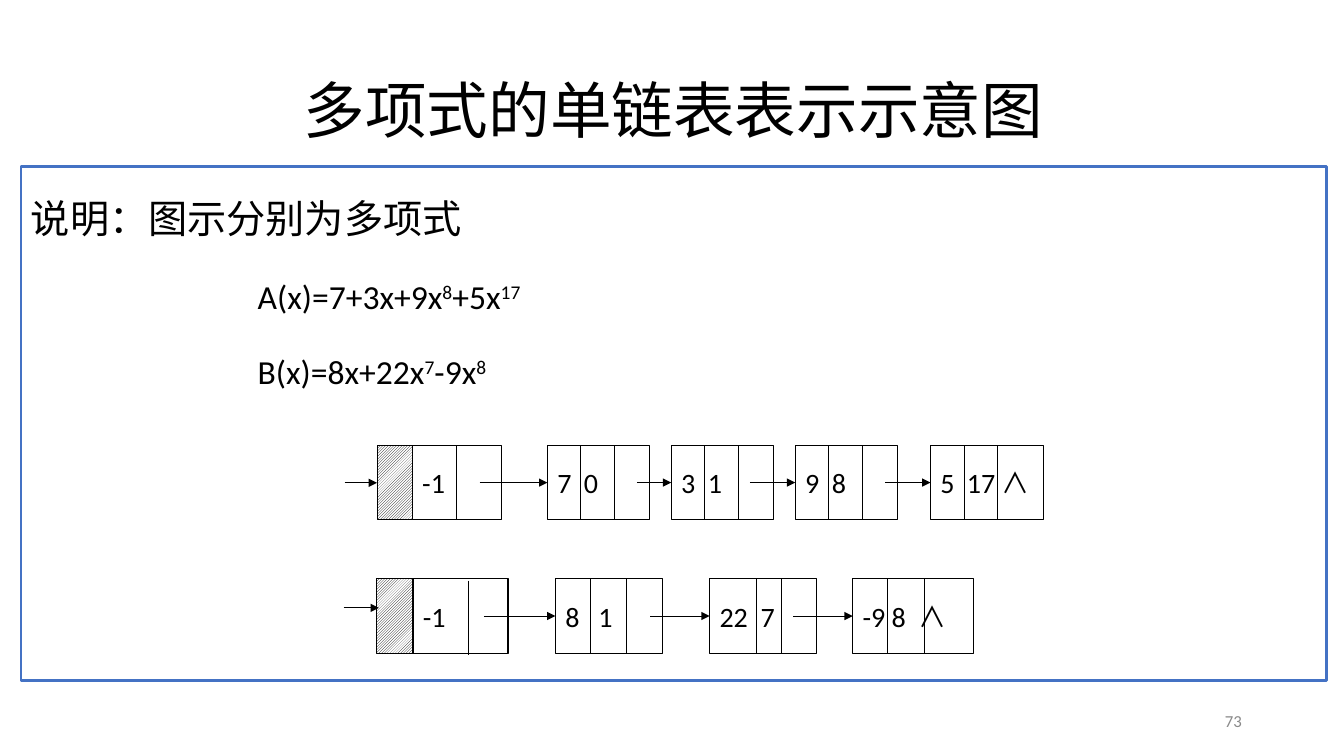
from dataclasses import dataclass
from typing import Any, Optional

from lxml.etree import SubElement
from pptx import Presentation
from pptx.dml.color import RGBColor
from pptx.enum.dml import MSO_PATTERN
from pptx.enum.shapes import MSO_CONNECTOR, MSO_SHAPE
from pptx.enum.text import MSO_ANCHOR, PP_ALIGN
from pptx.oxml.ns import qn
from pptx.util import Pt


@dataclass(frozen=True)
class Theme:
    latin: str = "Calibri"
    chinese: str = "Noto Sans CJK SC"
    ink: RGBColor = RGBColor(0x00, 0x00, 0x00)
    paper: RGBColor = RGBColor(0xFF, 0xFF, 0xFF)
    frame: RGBColor = RGBColor(0x44, 0x72, 0xC4)
    muted: RGBColor = RGBColor(0x89, 0x89, 0x89)
    title_size: float = 44
    lead_size: float = 28
    formula_size: float = 24
    node_size: float = 20
    number_size: float = 12
    thin: float = 0.75
    thick: float = 1.75


@dataclass(frozen=True)
class Node:
    left: float
    width: float
    dividers: tuple[float, ...]  # offsets from the left edge
    text: str
    tab: float = 0
    link_start: Optional[float] = None  # where the arrow to the next node begins


@dataclass(frozen=True)
class LinkedList:
    top: float
    height: float
    hatch_left: float
    hatch_width: float
    entry: tuple[float, float, float]  # start, end, height of the first arrow
    head_drop: float  # downward shift of the head node's divider
    nodes: tuple[Node, ...]


THEME = Theme()
CARET = "∧"
TITLE = "多项式的单链表表示示意图"
LEAD = "说明：图示分别为多项式"
# Every second part is an exponent
FORMULAS = (
    ("A(x)=7+3x+9x", "8", "+5x", "17"),
    ("B(x)=8x+22x", "7", "-9x", "8"),
)
THIRDS_A = (24, 48.2)
LISTS = (
    LinkedList(318.2, 53, 270, 24.5, (246.2, 269.3, 344.9), 0, (
        Node(294.5, 64.1, (31.7,), "-1", 0, 342.7),
        Node(391, 72.7, THIRDS_A, "7\t0", 19, 455),
        Node(479.5, 72.7, THIRDS_A, "3\t1", 19, 535.7),
        Node(568.1, 72.7, THIRDS_A, "9\t8", 19, 632.2),
        Node(664.6, 80.6, THIRDS_A, f"5\t17 {CARET}", 19),
    )),
    LinkedList(413.3, 53.5, 269.3, 25.5, (245.5, 270.7, 434.2), 1.4, (
        Node(295, 67.9, (39.8,), "-1", 0, 345.6),
        Node(396.7, 76.3, (25.2, 51.1), "8\t1", 23.6, 464.4),
        Node(506.9, 76.3, (33.8, 51.1), "22\t7", 29.3, 566.6),
        Node(609.1, 86.4, (25.2, 51.1), f"-9 8\t{CARET}", 40),
    )),
)


def set_attributes(target: Any, values: dict[str, Any]) -> None:
    for name, value in values.items():
        setattr(target, name, value)


def add_run(paragraph: Any, text: str, size: float, font: str = THEME.latin,
            color: RGBColor = THEME.ink) -> Any:
    run = paragraph.add_run()
    run.text = text
    set_attributes(run.font, {"name": font, "size": Pt(size), "bold": False})
    run.font.color.rgb = color
    if font == THEME.chinese:
        SubElement(run.font._element, qn("a:ea"), typeface=font)
    return run


def add_box(shapes: Any, left: float, top: float, width: float, height: float,
            color: RGBColor = THEME.ink, weight: float = THEME.thin) -> Any:
    box = shapes.add_shape(MSO_SHAPE.RECTANGLE, Pt(left), Pt(top), Pt(width), Pt(height))
    box.shadow.inherit = False
    box.fill.solid()
    box.fill.fore_color.rgb = THEME.paper
    box.line.color.rgb = color
    box.line.width = Pt(weight)
    return box


def add_line(shapes: Any, x1: float, y1: float, x2: float, y2: float,
             arrow: bool = False) -> None:
    line = shapes.add_connector(MSO_CONNECTOR.STRAIGHT, Pt(x1), Pt(y1), Pt(x2), Pt(y2))
    line.line.color.rgb = THEME.ink
    line.line.width = Pt(THEME.thin)
    if arrow:
        SubElement(line.line._get_or_add_ln(), qn("a:tailEnd"), type="triangle")
    SubElement(line._element.spPr, qn("a:effectLst"))


def add_node(shapes: Any, node: Node, top: float, height: float) -> None:
    box = add_box(shapes, node.left, top, node.width, height)
    set_attributes(box.text_frame, {"word_wrap": True, "margin_right": 0,
                                    "vertical_anchor": MSO_ANCHOR.MIDDLE})
    paragraph = box.text_frame.paragraphs[0]
    paragraph.alignment = PP_ALIGN.JUSTIFY
    if node.tab:
        tabs = SubElement(paragraph._p.get_or_add_pPr(), qn("a:tabLst"))
        SubElement(tabs, qn("a:tab"), pos=str(int(Pt(node.tab))), algn="l")
    add_run(paragraph, node.text.removesuffix(CARET), THEME.node_size)
    if node.text.endswith(CARET):
        add_run(paragraph, CARET, THEME.node_size, THEME.chinese)


def add_list(slide: Any, row: LinkedList) -> None:
    shapes = slide.shapes.add_group_shape().shapes
    bottom, middle = row.top + row.height, row.top + row.height / 2
    hatch = add_box(shapes, row.hatch_left, row.top, row.hatch_width, row.height)
    hatch.fill.patterned()
    hatch.fill.pattern = MSO_PATTERN.LIGHT_UPWARD_DIAGONAL
    hatch.fill.fore_color.rgb = THEME.ink
    hatch.fill.back_color.rgb = THEME.paper
    for node in row.nodes:
        add_node(shapes, node, row.top, row.height)
        drop = row.head_drop if node is row.nodes[0] else 0
        for offset in node.dividers:
            x = node.left + offset
            add_line(shapes, x, row.top + drop, x, bottom + drop)
    # Arrows
    start, end, level = row.entry
    add_line(shapes, start, level, end, level, arrow=True)
    for node, following in zip(row.nodes, row.nodes[1:]):
        add_line(shapes, node.link_start, middle, following.left, middle, arrow=True)


def add_title(slide: Any) -> None:
    title = slide.shapes.title
    set_attributes(title, {"left": Pt(15), "top": Pt(28.8),
                           "width": Pt(932.4), "height": Pt(104.4)})
    title.text_frame.vertical_anchor = MSO_ANCHOR.MIDDLE
    paragraph = title.text_frame.paragraphs[0]
    set_attributes(paragraph, {"alignment": PP_ALIGN.CENTER, "line_spacing": 0.9})
    add_run(paragraph, TITLE, THEME.title_size, THEME.chinese)


def add_explanation(slide: Any) -> None:
    box = add_box(slide.shapes, 15, 118.8, 932.4, 367.2, THEME.frame, THEME.thick)
    frame = box.text_frame
    set_attributes(frame, {"word_wrap": True, "vertical_anchor": MSO_ANCHOR.TOP})
    lead = frame.paragraphs[0]
    set_attributes(lead, {"alignment": PP_ALIGN.LEFT, "line_spacing": 1.5})
    add_run(lead, LEAD, THEME.lead_size)
    for formula in FORMULAS:
        paragraph = frame.add_paragraph()
        set_attributes(paragraph, {"alignment": PP_ALIGN.LEFT, "line_spacing": 1.5,
                                   "space_before": Pt(10)})
        paragraph._p.get_or_add_pPr().set("marL", str(int(Pt(162))))
        for index, part in enumerate(formula):
            run = add_run(paragraph, part, THEME.formula_size)
            if index % 2:
                run.font._element.set("baseline", "30000")


def add_slide_number(slide: Any) -> None:
    box = slide.shapes.add_textbox(Pt(678.2), Pt(500.4), Pt(216), Pt(28.8))
    set_attributes(box.text_frame, {"word_wrap": True,
                                    "vertical_anchor": MSO_ANCHOR.MIDDLE})
    paragraph = box.text_frame.paragraphs[0]
    paragraph.alignment = PP_ALIGN.RIGHT
    add_run(paragraph, "73", THEME.number_size, color=THEME.muted)


def main() -> None:
    presentation = Presentation()
    set_attributes(presentation, {"slide_width": Pt(960), "slide_height": Pt(540)})
    slide = presentation.slides.add_slide(presentation.slide_layouts[5])
    add_slide_number(slide)
    add_title(slide)
    add_explanation(slide)
    for row in LISTS:
        add_list(slide, row)
    presentation.save("out.pptx")


if __name__ == "__main__":
    main()
